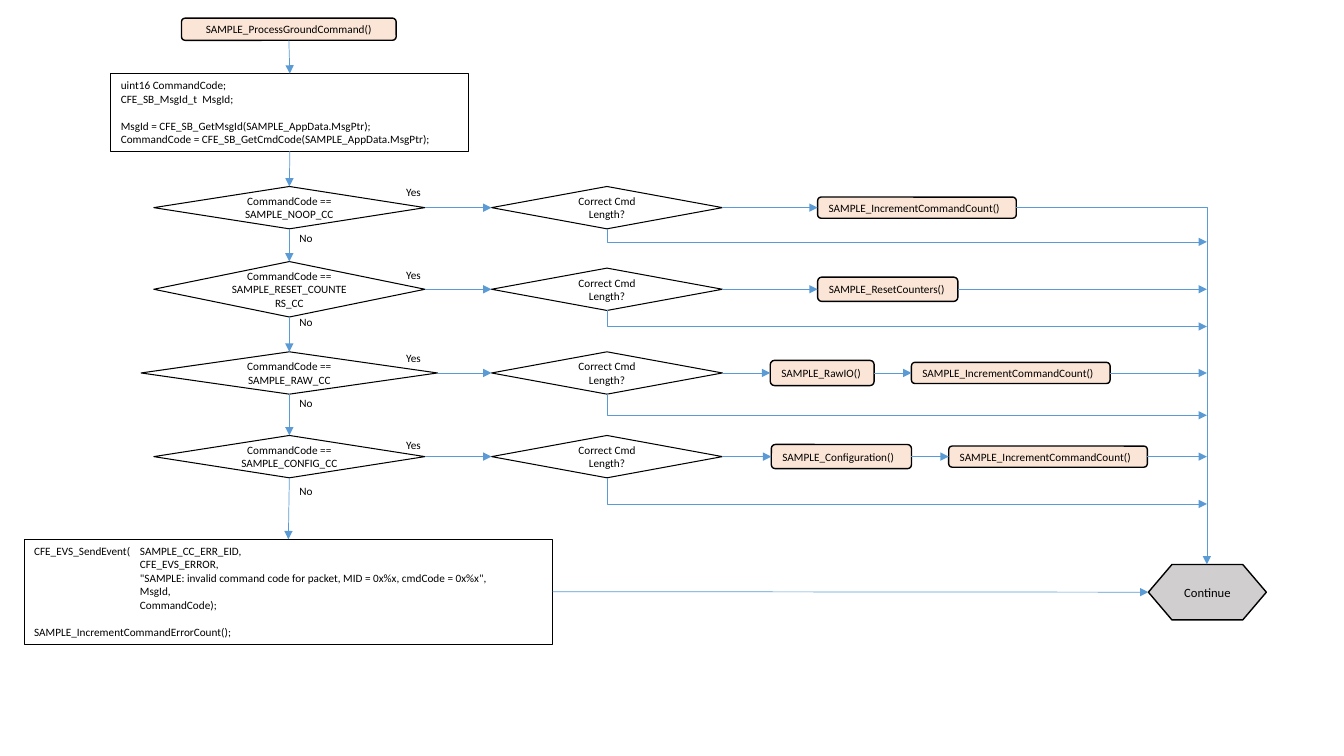
"""Draw the flowchart of the ground command handler."""
import dataclasses
import itertools
import typing

import pptx
import pptx.dml.color
import pptx.enum.shapes
import pptx.enum.text
import pptx.oxml.ns
import pptx.shapes.autoshape
import pptx.shapes.connector
import pptx.util

Inches = pptx.util.Inches
Pt = pptx.util.Pt
KIND = pptx.enum.shapes.MSO_SHAPE
WIRE = pptx.enum.shapes.MSO_CONNECTOR
ALIGN = pptx.enum.text.PP_ALIGN
ANCHOR = pptx.enum.text.MSO_ANCHOR
Shape = pptx.shapes.autoshape.Shape
Wire = pptx.shapes.connector.Connector

BLACK, BLUE, PEACH, GREY = "000000", "5B9BD5", "FBE5D6", "D0CECE"
TOP, LEFT, BOTTOM, RIGHT = range(4)
MAIN, CHECK, RAIL = 2.87, 6.02, 11.97
TAB = 1.05


class Call(typing.NamedTuple):
    name: str
    left: float
    width: float
    height: float


@dataclasses.dataclass
class Row:
    code: str
    mid: float
    yes: float
    no: float
    skip: float
    calls: list[Call]
    width: float = 2.69
    height: float = 0.42


class Line(typing.NamedTuple):
    text: str
    indent: float = 0
    hang: float = 0
    gap: float = 0


def count(left: float) -> Call:
    """Describe a call that counts a good command."""
    return Call("SAMPLE_IncrementCommandCount()", left, 1.97, 0.21)


ROWS = [
    Row("NOOP", 2.06, 1.79, 2.25, 2.4, [count(8.11)]),
    Row("RESET_COUNTERS", 2.87, 2.61, 3.08, 3.24,
        [Call("SAMPLE_ResetCounters()", 8.11, 1.39, 0.24)], height=0.55),
    Row("RAW", 3.7, 3.44, 3.88, 4.12,
        [Call("SAMPLE_RawIO()", 7.64, 1.03, 0.25), count(9.04)], width=2.94),
    Row("CONFIG", 4.53, 4.3, 4.76, 5.0,
        [Call("SAMPLE_Configuration()", 7.65, 1.39, 0.24), count(9.41)]),
]
SETUP = [
    Line("uint16 CommandCode;"),
    Line("CFE_SB_MsgId_t  MsgId;"),
    Line("MsgId = CFE_SB_GetMsgId(SAMPLE_AppData.MsgPtr);", gap=9.8),
    Line("CommandCode = CFE_SB_GetCmdCode(SAMPLE_AppData.MsgPtr);"),
]
ERROR = [
    Line("CFE_EVS_SendEvent(\tSAMPLE_CC_ERR_EID,", TAB, -TAB),
    Line("CFE_EVS_ERROR,", TAB),
    Line('"SAMPLE: invalid command code for packet, '
         'MID = 0x%x, cmdCode = 0x%x",', TAB),
    Line("MsgId,", TAB),
    Line("CommandCode);", TAB),
    Line("SAMPLE_IncrementCommandErrorCount();", gap=9.8),
]

deck = pptx.Presentation()
deck.slide_width, deck.slide_height = Inches(13.33), Inches(7.5)
slide = deck.slides.add_slide(deck.slide_layouts[6])


def paint(code: str) -> pptx.dml.color.RGBColor:
    """Turn a hex string into a colour."""
    return pptx.dml.color.RGBColor.from_string(code)


def write(shape: Shape, lines: list[Line], *, size: float = 8,
          align: ALIGN = ALIGN.LEFT, anchor: ANCHOR = ANCHOR.TOP,
          wrap: bool = True) -> None:
    """Fill a shape with formatted lines of text."""
    frame = shape.text_frame
    frame.word_wrap, frame.vertical_anchor = wrap, anchor
    for rank, line in enumerate(lines):
        para = frame.add_paragraph() if rank else frame.paragraphs[0]
        para.alignment, para.space_before = align, Pt(line.gap)
        if line.indent:
            props = para._p.get_or_add_pPr()
            props.set("marL", str(Inches(line.indent)))
            props.set("indent", str(Inches(line.hang)))
        run = para.add_run()
        run.text = line.text
        run.font.name, run.font.size = "Calibri", Pt(size)
        run.font.color.rgb = paint(BLACK)


def block(kind: KIND, left: float, top: float, width: float, height: float,
          fill: str = "", line: float = 0.75) -> Shape:
    """Add an outlined preset shape."""
    shape = slide.shapes.add_shape(
        kind, Inches(left), Inches(top), Inches(width), Inches(height))
    shape.shadow.inherit = False
    if fill:
        shape.fill.solid()
        shape.fill.fore_color.rgb = paint(fill)
    else:
        shape.fill.background()
    shape.line.color.rgb, shape.line.width = paint(BLACK), Pt(line)
    return shape


def test(text: str, center: float, mid: float, width: float,
         height: float = 0.42) -> Shape:
    """Add a decision diamond around its centre."""
    shape = block(KIND.DIAMOND, center - width / 2, mid - height / 2,
                  width, height)
    write(shape, [Line(text)], align=ALIGN.CENTER, anchor=ANCHOR.MIDDLE)
    return shape


def step(call: Call, mid: float, align: ALIGN = ALIGN.LEFT) -> Shape:
    """Add a rounded box for a function call."""
    shape = block(KIND.ROUNDED_RECTANGLE, call.left, mid - call.height / 2,
                  call.width, call.height, PEACH, 1)
    write(shape, [Line(call.name)], align=align, anchor=ANCHOR.MIDDLE)
    if align == ALIGN.LEFT:
        shape.text_frame.margin_right = 0
    return shape


def label(text: str, left: float, top: float) -> None:
    """Add the answer beside a branch."""
    box = slide.shapes.add_textbox(
        Inches(left), Inches(top), Inches(0.36), Inches(0.24))
    write(box, [Line(text)], wrap=False)


def arrow(left: float, top: float, right: float, low: float,
          preset: str = "line", turn: int = 0) -> Wire:
    """Add an arrow between two points."""
    wire = slide.shapes.add_connector(
        WIRE.STRAIGHT, Inches(left), Inches(top), Inches(right), Inches(low))
    wire.line.color.rgb, wire.line.width = paint(BLUE), Pt(0.5)
    name = pptx.oxml.ns.qn
    props = wire._element.spPr
    props.find(name("a:prstGeom")).set("prst", preset)
    if turn:
        props.find(name("a:xfrm")).set("rot", str(turn * 60000))
    tail = wire.line._get_or_add_ln().makeelement(
        name("a:tailEnd"), {"type": "triangle"})
    wire.line._get_or_add_ln().append(tail)
    props.append(props.makeelement(name("a:effectLst"), {}))
    return wire


def link(start: Shape, end: Shape, out: int = RIGHT, into: int = LEFT) -> None:
    """Join two shapes with an arrow."""
    wire = arrow(0, 0, 1, 1)
    wire.begin_connect(start, out)
    wire.end_connect(end, into)


def drop(top: float, low: float) -> None:
    """Run an arrow down from a length check and across to the rail."""
    mid, center = (CHECK + RAIL) / 2, (top + low) / 2
    wide, tall = (RAIL - CHECK) / 2, (low - top) / 2
    arrow(mid + tall, center - wide, mid - tall, center + wide,
          "bentConnector2", 270)


entry = step(Call("SAMPLE_ProcessGroundCommand()", 1.8, 2.13, 0.22), 0.29,
             ALIGN.CENTER)
setup = block(KIND.RECTANGLE, 1.1, 0.73, 3.55, 0.77)
write(setup, SETUP)
error = block(KIND.RECTANGLE, 0.24, 5.35, 5.24, 1.04)
write(error, ERROR)
done = block(KIND.FLOWCHART_PREPARATION, 11.39, 5.6, 1.17, 0.55, GREY, 1)
write(done, [Line("Continue")], size=9, align=ALIGN.CENTER,
      anchor=ANCHOR.MIDDLE)

spine = [entry, setup]
for row in ROWS:
    match = test(f"CommandCode == SAMPLE_{row.code}_CC", MAIN, row.mid,
                 row.width, row.height)
    check = test("Correct Cmd Length?", CHECK, row.mid, 2.29)
    steps = [step(call, row.mid) for call in row.calls]
    spine.append(match)
    for start, end in itertools.pairwise([match, check, *steps]):
        link(start, end)
    last = row.calls[-1]
    edge = last.left + last.width
    if row is ROWS[0]:
        arrow(edge, row.mid, RAIL, 5.6, "bentConnector2")
    else:
        arrow(edge, row.mid, RAIL, row.mid).begin_connect(steps[-1], RIGHT)
    drop(row.mid + 0.21, row.skip)
    label("Yes", 3.93, row.yes)
    label("No", MAIN, row.no)

for start, end in itertools.pairwise([*spine, error]):
    link(start, end, BOTTOM, TOP)
link(error, done)

deck.save("out.pptx")
